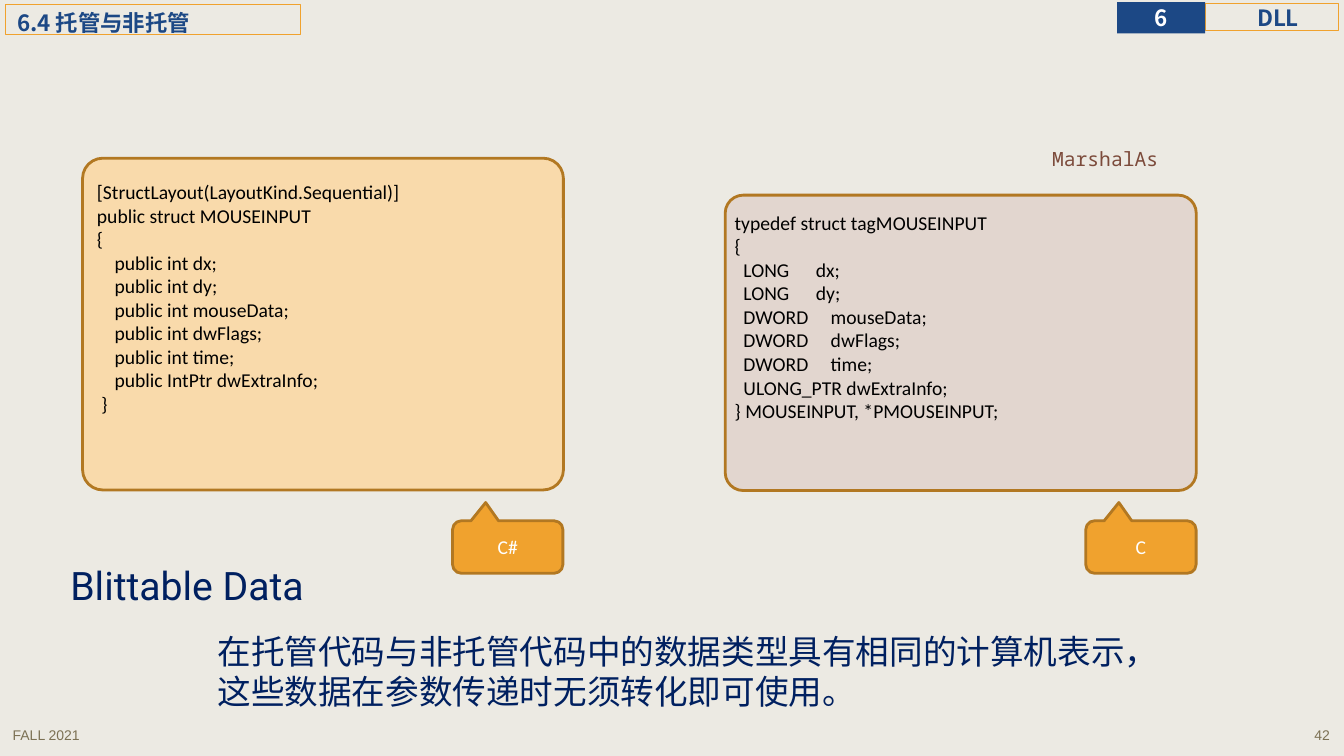
"""Build the slide on managed and unmanaged data layouts."""
from dataclasses import dataclass
from typing import Optional, Sequence

from lxml.etree import SubElement
from pptx import Presentation
from pptx.dml.color import RGBColor
from pptx.enum.shapes import MSO_SHAPE as Shape
from pptx.enum.text import MSO_ANCHOR as Anchor, MSO_AUTO_SIZE as AutoSize, PP_ALIGN as Align
from pptx.oxml.ns import qn
from pptx.util import Pt


@dataclass(frozen=True)
class Theme:
    background: str = "ECEAE3"
    navy: str = "1C4885"
    ink: str = "002060"
    amber: str = "F0A22E"
    brown: str = "B27822"
    cream: str = "F9DAAB"
    rose: str = "E2D6CF"
    rust: str = "7C4B3B"
    muted: str = "7C7154"
    black: str = "000000"
    white: str = "FFFFFF"
    cjk: str = "Noto Sans CJK SC"
    latin: str = "Calibri"
    small: float = 10
    code: float = 14
    header: float = 16
    body: float = 24
    term: float = 28


T = Theme()


@dataclass(frozen=True)
class Box:
    x: float
    y: float
    w: float
    h: float

    def emu(self) -> tuple:
        return Pt(self.x), Pt(self.y), Pt(self.w), Pt(self.h)


@dataclass(frozen=True)
class Line:
    text: str
    indent: float = 0
    stops: Sequence[float] = ()


@dataclass(frozen=True)
class CodePanel:
    frame: Box
    text_box: Box
    fill: str
    lines: Sequence[Line]
    callout: Box
    language: str


@dataclass(frozen=True)
class Label:
    box: Box
    lines: Sequence[Line]
    size: float
    font: str
    color: str
    align: Align = Align.LEFT


CS_FIELDS = ("int dx", "int dy", "int mouseData", "int dwFlags", "int time", "IntPtr dwExtraInfo")
C_FIELDS = (("LONG", "dx", 58), ("LONG", "dy", 58), ("DWORD", "mouseData", 68.6),
            ("DWORD", "dwFlags", 68.6), ("DWORD", "time", 68.6))

PANELS = (
    CodePanel(
        Box(59, 113, 343.5, 237), Box(59, 125, 343.5, 225), T.cream,
        (Line("[StructLayout(LayoutKind.Sequential)]", 3.2),
         Line("public struct MOUSEINPUT", 3.2), Line("{", 3.2),
         *(Line(f"public {field};", 15.8) for field in CS_FIELDS), Line("}", 6.3)),
        Box(323.3, 372, 78.8, 37.5), "C#"),
    CodePanel(
        Box(518, 139.4, 336.5, 211), Box(517.7, 147, 337, 160), T.rose,
        (Line("typedef struct tagMOUSEINPUT"), Line("{"),
         *(Line(f"\t{kind}\t{name};", stops=(6.3, stop)) for kind, name, stop in C_FIELDS),
         Line("ULONG_PTR dwExtraInfo;", 6.3), Line("} MOUSEINPUT, *PMOUSEINPUT;")),
        Box(775.6, 372, 78.8, 37.5), "C"),
)

LABELS = (
    Label(Box(2, 515.5, 200, 22), (Line("FALL 2021"),), T.small, "Arial", T.muted),
    Label(Box(757, 515.5, 200, 22), (Line("42"),), T.small, "Arial", T.muted, Align.RIGHT),
    Label(Box(43.2, 397.4, 187.2, 41), (Line("Blittable Data"),), T.term, "Roboto", T.ink),
    Label(Box(148.3, 447, 693.4, 65.5),
          (Line("在托管代码与非托管代码中的数据类型具有相同的计算机表示，"),
           Line("这些数据在参数传递时无须转化即可使用。")), T.body, T.cjk, T.ink),
    Label(Box(744.5, 101.5, 110, 24.5), (Line("MarshalAs"),), T.code, "Noto Sans Mono", T.rust),
)


def rgb(color: str) -> RGBColor:
    return RGBColor.from_string(color)


def write(sp, lines: Sequence[Line], *, size: float = T.code, font: str = T.latin,
          color: str = T.black, bold: bool = False, align: Align = Align.LEFT,
          anchor: Anchor = Anchor.TOP, insets: Sequence[float] = (7.2, 3.6, 7.2, 3.6),
          spacing: float = 1.0) -> None:
    tf = sp.text_frame
    tf.word_wrap, tf.auto_size, tf.vertical_anchor = True, AutoSize.NONE, anchor
    tf.margin_left, tf.margin_top, tf.margin_right, tf.margin_bottom = map(Pt, insets)
    for i, line in enumerate(lines):
        p = tf.add_paragraph() if i else tf.paragraphs[0]
        p.alignment, p.line_spacing = align, spacing
        pPr = p._p.get_or_add_pPr()
        if line.indent:
            pPr.set("marL", str(Pt(line.indent)))
            pPr.set("indent", "0")
        if line.stops:
            tabs = SubElement(pPr, qn("a:tabLst"))
            for stop in line.stops:
                SubElement(tabs, qn("a:tab"), pos=str(Pt(stop)), algn="l")
        r = p.add_run()
        r.text = line.text
        r.font.size, r.font.name, r.font.bold = Pt(size), font, bold
        r.font.color.rgb = rgb(color)
        SubElement(r._r.get_or_add_rPr(), qn("a:ea"), typeface=font)


def add_box(slide, kind: Shape, box: Box, fill: Optional[str] = None,
            line: Optional[str] = None, width: float = 2,
            adjustments: Sequence[float] = ()):
    sp = slide.shapes.add_shape(kind, *box.emu())
    sp.shadow.inherit = False
    for i, value in enumerate(adjustments):
        sp.adjustments[i] = value
    if fill:
        sp.fill.solid()
        sp.fill.fore_color.rgb = rgb(fill)
    else:
        sp.fill.background()
    if line:
        sp.line.color.rgb, sp.line.width = rgb(line), Pt(width)
    else:
        sp.line.fill.background()
    return sp


def add_header(slide) -> None:
    style = dict(size=T.header, font=T.cjk, bold=True, anchor=Anchor.MIDDLE)
    title = slide.shapes.title
    title.left, title.top, title.width, title.height = Box(3.6, 3.4, 211, 21.5).emu()
    title.line.color.rgb, title.line.width = rgb(T.amber), Pt(0.75)
    write(title, [Line("6.4 托管与非托管")], color=T.navy, insets=(8.64, 0, 0, 0),
          spacing=1.2, **style)
    topic = add_box(slide, Shape.RECTANGLE, Box(861, 2.7, 95.2, 19.4), line=T.amber, width=0.75)
    write(topic, [Line("DLL")], color=T.navy, align=Align.CENTER, insets=(8.64, 0, 0, 0), **style)
    chapter = add_box(slide, Shape.RECTANGLE, Box(798, 1.5, 62.8, 22.3), T.navy)
    write(chapter, [Line("6")], color=T.white, align=Align.CENTER, insets=(0, 0, 0, 0), **style)


def add_panel(slide, panel: CodePanel) -> None:
    add_box(slide, Shape.ROUNDED_RECTANGLE, panel.frame, panel.fill, T.brown, adjustments=(0.061,))
    write(slide.shapes.add_textbox(*panel.text_box.emu()), panel.lines)
    callout = add_box(slide, Shape.ROUNDED_RECTANGULAR_CALLOUT, panel.callout, T.amber, T.brown,
                      adjustments=(-0.2, -0.848, 0.167))
    write(callout, [Line(panel.language)], color=T.white, align=Align.CENTER, anchor=Anchor.MIDDLE)


def main() -> None:
    prs = Presentation()
    prs.slide_width, prs.slide_height = Pt(960), Pt(540)
    slide = prs.slides.add_slide(prs.slide_layouts[5])
    slide.background.fill.solid()
    slide.background.fill.fore_color.rgb = rgb(T.background)
    add_header(slide)
    for panel in PANELS:
        add_panel(slide, panel)
    for label in LABELS:
        write(slide.shapes.add_textbox(*label.box.emu()), label.lines, size=label.size,
              font=label.font, color=label.color, align=label.align)
    prs.save("out.pptx")


if __name__ == "__main__":
    main()
